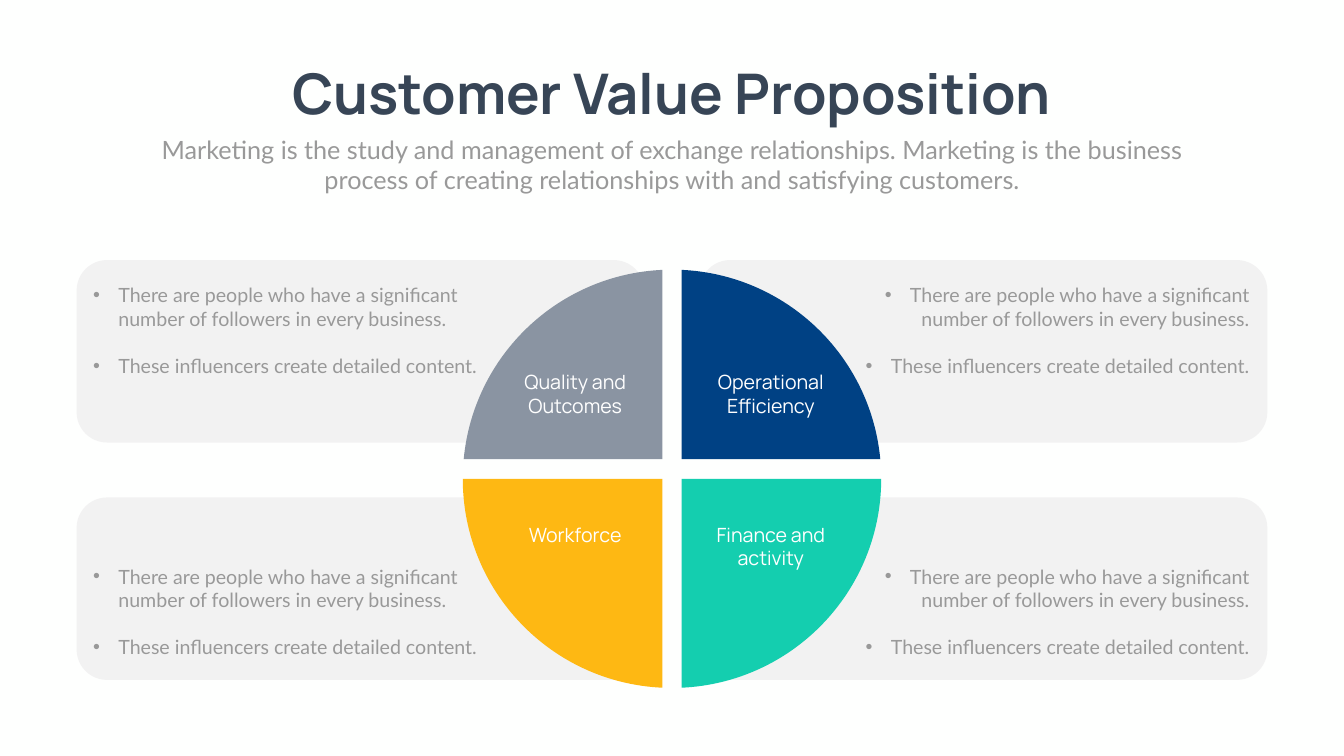
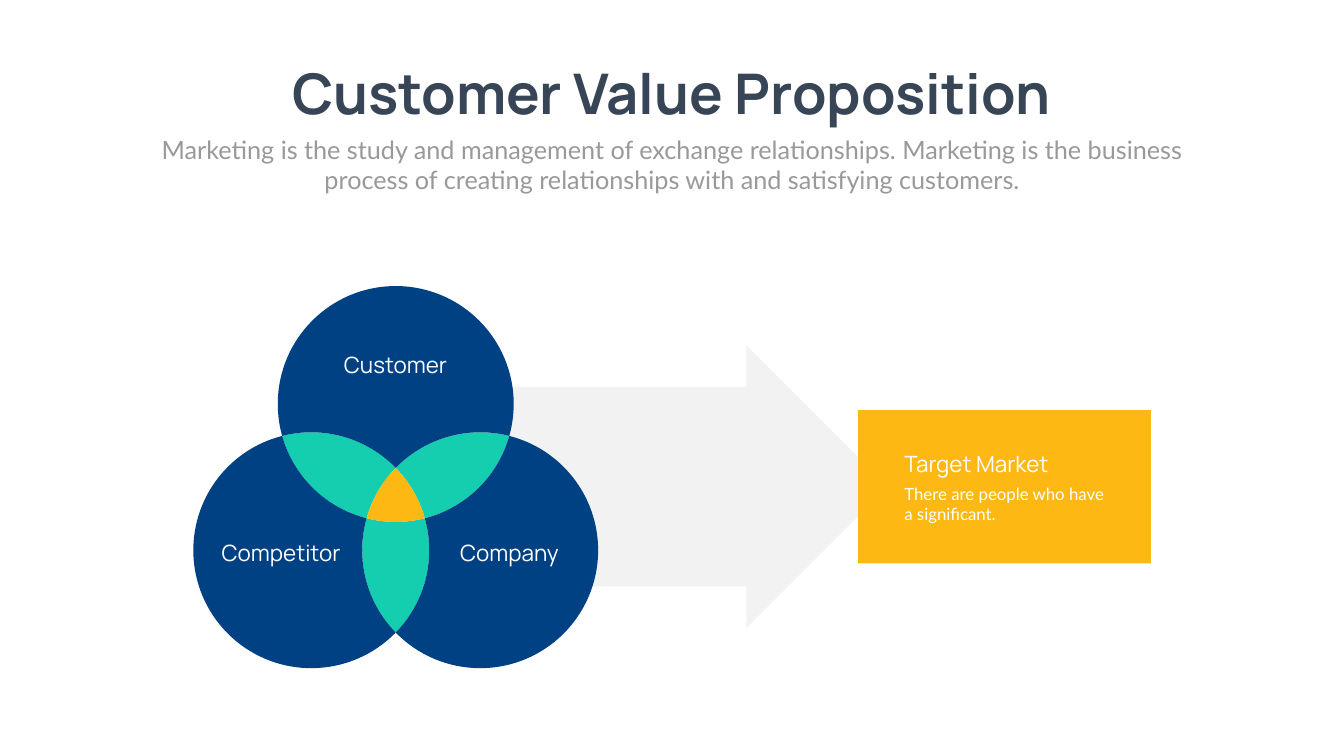
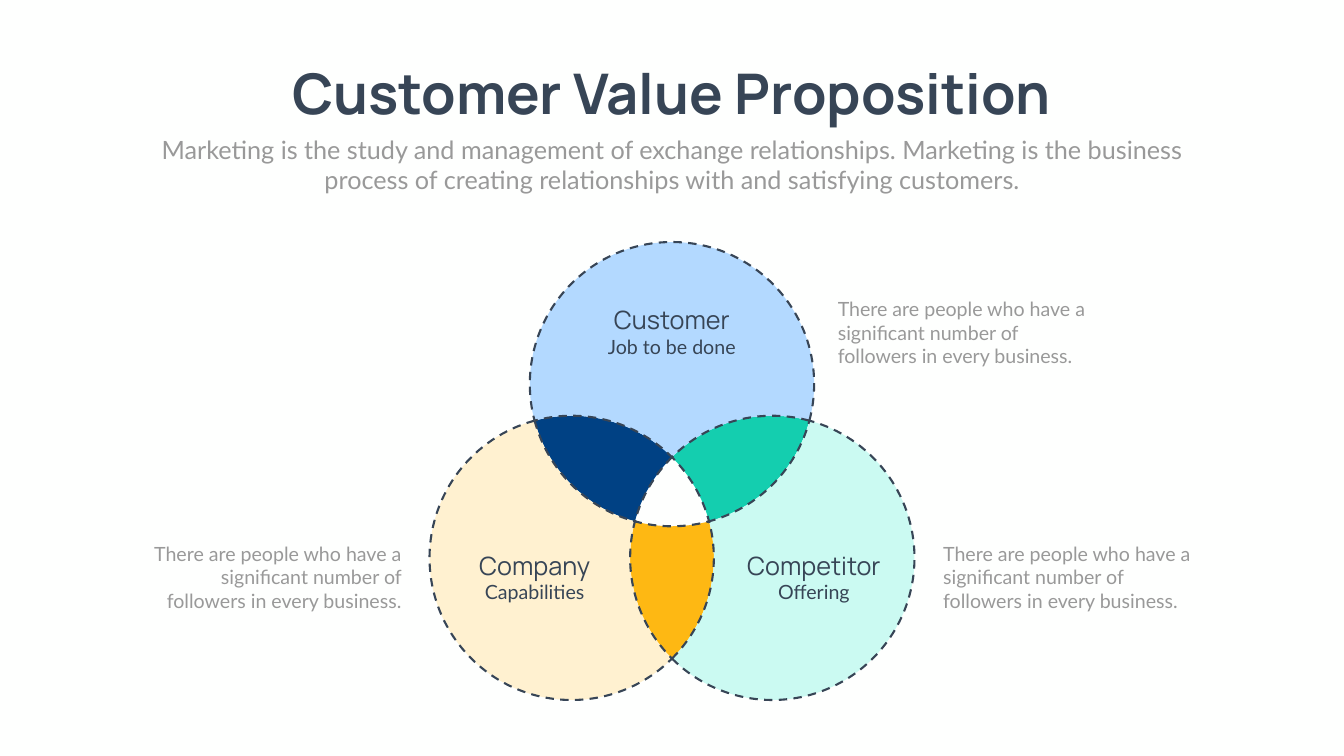
"""Build three customer value proposition slides."""
import math
from itertools import pairwise

from lxml import etree
from pptx import Presentation
from pptx import util as u
from pptx.dml.color import RGBColor
from pptx.enum import dml, shapes, text
from pptx.oxml.ns import qn

PX = 9144
WIDTH, HEIGHT = 2666, 1500
HEAD, BODY = "Manrope", "Lato"
PAPER, WHITE, INK, GREY, CARD = "FEFFFE", "FFFFFF", "374556", "999999", "F2F2F2"
NAVY, SLATE, AMBER, TEAL = "004184", "8A94A2", "FEB813", "14CEAF"
LEFT, CENTER, RIGHT = text.PP_ALIGN.LEFT, text.PP_ALIGN.CENTER, text.PP_ALIGN.RIGHT
TITLE = "Customer Value Proposition"
SUBTITLE = ("Marketing is the study and management of exchange relationships. "
            "Marketing is the business process of creating relationships with "
            "and satisfying customers.")
FOLLOWERS = ("There are people who have a significant number of followers "
             "in every business.")
CONTENT = "These influencers create detailed content."


def px(n):
    """Turn px into EMU."""
    return u.Emu(round(n * PX))


def rgb(value):
    """Turn a hex string into a colour."""
    return RGBColor.from_string(value)


def paint(sp, fill, dashed=False):
    """Set a shape's fill and outline, without shadow."""
    sp.shadow.inherit = False
    if fill:
        sp.fill.solid()
        sp.fill.fore_color.rgb = rgb(fill)
    else:
        sp.fill.background()
    if dashed:
        sp.line.color.rgb = rgb(INK)
        sp.line.width = u.Pt(3)
        sp.line.dash_style = dml.MSO_LINE.DASH
    else:
        sp.line.fill.background()
    return sp


def add_preset(s, kind, box, fill):
    """Add a preset shape."""
    return paint(s.shapes.add_shape(kind, *map(px, box)), fill)


def add_outline(s, start, curve, fill, dashed=False, corners=()):
    """Add a closed freeform of cubic curves, then straight corners."""
    builder = s.shapes.build_freeform(*map(px, start))
    builder.add_line_segments([(px(x), px(y)) for x, y in (*curve, *corners)], close=True)
    sp = builder.convert_to_shape()
    segments = list(sp._element.iter(qn("a:lnTo")))
    for n in range(0, len(curve), 3):
        bezier = etree.Element(qn("a:cubicBezTo"))
        segments[n].addprevious(bezier)
        for segment in segments[n:n + 3]:
            bezier.append(segment[0])
            segment.getparent().remove(segment)
    return paint(sp, fill, dashed)


def set_bullet(p):
    """Give a paragraph a hanging bullet."""
    pPr = p._p.get_or_add_pPr()
    pPr.set("marL", str(px(50)))
    pPr.set("indent", str(px(-50)))
    etree.SubElement(pPr, qn("a:buFont"), typeface="Arial")
    etree.SubElement(pPr, qn("a:buChar"), char="•")


def add_text(s, box, lines, size, font, color, align=CENTER,
             bold=False, wrap=True, bullets=False):
    """Add a text box with one paragraph per line."""
    tf = s.shapes.add_textbox(*map(px, box)).text_frame
    tf.word_wrap = wrap
    tf.auto_size = text.MSO_AUTO_SIZE.SHAPE_TO_FIT_TEXT
    for i, line in enumerate(lines):
        p = tf.paragraphs[0] if i == 0 else tf.add_paragraph()
        p.alignment = align
        if i:
            p.space_before = u.Pt(33.6)
        if bullets:
            set_bullet(p)
        r = p.add_run()
        r.text = line
        r.font.size, r.font.name, r.font.bold = u.Pt(size), font, bold
        r.font.color.rgb = rgb(color)


def add_slide(prs):
    """Add a slide with the shared background, title and subtitle."""
    s = prs.slides.add_slide(prs.slide_layouts[6])
    s.background.fill.solid()
    s.background.fill.fore_color.rgb = rgb(PAPER)
    add_text(s, (513, 112, 1639, 145), [TITLE], 80, HEAD, INK, bold=True, wrap=False)
    add_text(s, (292, 261, 2082, 131), [SUBTITLE], 36, BODY, GREY)
    return s


def polar(center, radius, angle):
    """Return the point at an angle in degrees around a centre."""
    a = math.radians(angle)
    return center[0] + radius * math.cos(a), center[1] + radius * math.sin(a)


def arc(center, start, end, long_way=False):
    """Return cubic curve points from start to end, split at quadrants."""
    first, last = [math.degrees(math.atan2(y - center[1], x - center[0]))
                   for x, y in (start, end)]
    sweep = (last - first + 180) % 360 - 180
    if long_way:
        sweep -= math.copysign(360, sweep)
    last = first + sweep
    low, high = sorted((first, last))
    cuts = [q for q in range(-720, 721, 90) if low + 1 < q < high - 1]
    stops = sorted([first, *cuts, last], reverse=sweep < 0)
    radius = math.dist(center, start)
    points = []
    for a, b in pairwise(stops):
        reach = radius * 4 / 3 * math.tan(math.radians(b - a) / 4)
        p, q = polar(center, radius, a), polar(center, radius, b)
        points += [polar(p, reach, a + 90), polar(q, -reach, b + 90), q]
    return points


def add_venn(s, middle, side, radius, lens_fills, petal_fills, core_fill, dashed=False):
    """Add the seven regions of three circles: top, lower left and lower right."""
    reach = side / math.sqrt(3)
    half_lens = math.sqrt(radius ** 2 - (side / 2) ** 2)
    angles = (-90, 150, 30)
    centers = [polar(middle, reach, a) for a in angles]
    outer = [polar(middle, -reach / 2 - half_lens, a) for a in angles]
    inner = [polar(middle, half_lens - reach / 2, a) for a in angles]
    triples = [(k, (k + 1) % 3, (k + 2) % 3) for k in range(3)]
    for (k, i, j), fill in zip(triples, lens_fills):
        add_outline(s, outer[k], arc(centers[j], outer[k], inner[i])
                    + arc(centers[k], inner[i], inner[j])
                    + arc(centers[i], inner[j], outer[k]), fill)
    for (k, i, j), fill in zip(triples, petal_fills):
        add_outline(s, outer[i], arc(centers[k], outer[i], outer[j], long_way=True)
                    + arc(centers[i], outer[j], inner[k])
                    + arc(centers[j], inner[k], outer[i]), fill, dashed)
    core = [pt for k, i, j in triples for pt in arc(centers[j], inner[k], inner[i])]
    add_outline(s, inner[0], core, core_fill, dashed)


def add_quarter(s, side, edge, down, fill):
    """Add a quarter of the split disc: side is -1 or 1, edge its level side."""
    cx, cy, radius, gap = 1333, 950, 415, 19
    x = cx + side * gap
    tip = (x, cy + down * math.sqrt(radius ** 2 - gap ** 2))
    rim = (cx + side * math.sqrt(radius ** 2 - (edge - cy) ** 2), edge)
    add_outline(s, tip, arc((cx, cy), tip, rim), fill, corners=[(x, edge)])


def build_quarters(prs):
    """Build the four-quarter disc with bulleted cards."""
    s = add_slide(prs)
    for y in (987, 516):
        for x in (1388, 152):
            add_preset(s, shapes.MSO_SHAPE.ROUNDED_RECTANGLE, (x, y, 1126, 362), CARD)
    for quarter in ((1, 911, -1, NAVY), (-1, 911, -1, SLATE),
                    (-1, 950, 1, AMBER), (1, 950, 1, TEAL)):
        add_quarter(s, *quarter)
    for x, align in ((175, LEFT), (1685, RIGHT)):
        for y in (557, 1115):
            add_text(s, (x, y, 803, 199), [FOLLOWERS, CONTENT], 28, BODY, GREY,
                     align, bullets=True)
    for x, y, label in ((969, 730, "Quality and Outcomes"),
                        (1357, 730, "Operational Efficiency"),
                        (969, 1032, "Workforce"),
                        (1357, 1032, "Finance and activity")):
        add_text(s, (x, y, 344, 104), [label], 28, HEAD, WHITE)


def build_target(prs):
    """Build the circles that point to the target market."""
    s = add_slide(prs)
    arrow = add_preset(s, shapes.MSO_SHAPE.RIGHT_ARROW, (889, 685, 872, 561), CARD)
    arrow.adjustments[0], arrow.adjustments[1] = 0.705, 0.5
    add_venn(s, (785, 995), 335, 234, [TEAL] * 3, [NAVY] * 3, AMBER)
    for x, y, label in ((612, 691, "Customer"), (838, 1065, "Company"),
                        (385, 1065, "Competitor")):
        add_text(s, (x, y, 345, 65), [label], 32, HEAD, WHITE)
    add_preset(s, shapes.MSO_SHAPE.RECTANGLE, (1702, 814, 581, 304), AMBER)
    add_text(s, (1784, 889, 418, 64), ["Target Market"], 32, HEAD, WHITE, LEFT)
    add_text(s, (1784, 954, 418, 100), ["There are people who have a significant."],
             24, BODY, WHITE, LEFT)


def build_overlap(prs):
    """Build the dashed circles with notes beside them."""
    s = add_slide(prs)
    add_venn(s, (1333, 992), 398, 282, (AMBER, TEAL, NAVY),
             ("B3D9FF", "FFF1D0", "CBFAF2"), None, dashed=True)
    for x, y, name, detail in ((1458, 1086, "Competitor", "Offering"),
                               (1176, 599, "Customer", "Job to be done"),
                               (904, 1086, "Company", "Capabilities")):
        add_text(s, (x, y + 60, 313, 57), [detail], 28, BODY, INK)
        add_text(s, (x, y, 313, 71), [name], 36, HEAD, INK)
    for x, y, align in ((271, 1070, RIGHT), (1861, 1070, LEFT), (1652, 585, LEFT)):
        add_text(s, (x, y, 535, 151), [FOLLOWERS], 28, BODY, GREY, align)


def main():
    """Build and save the deck."""
    prs = Presentation()
    prs.slide_width, prs.slide_height = px(WIDTH), px(HEIGHT)
    build_quarters(prs)
    build_target(prs)
    build_overlap(prs)
    prs.save("out.pptx")


if __name__ == "__main__":
    main()
